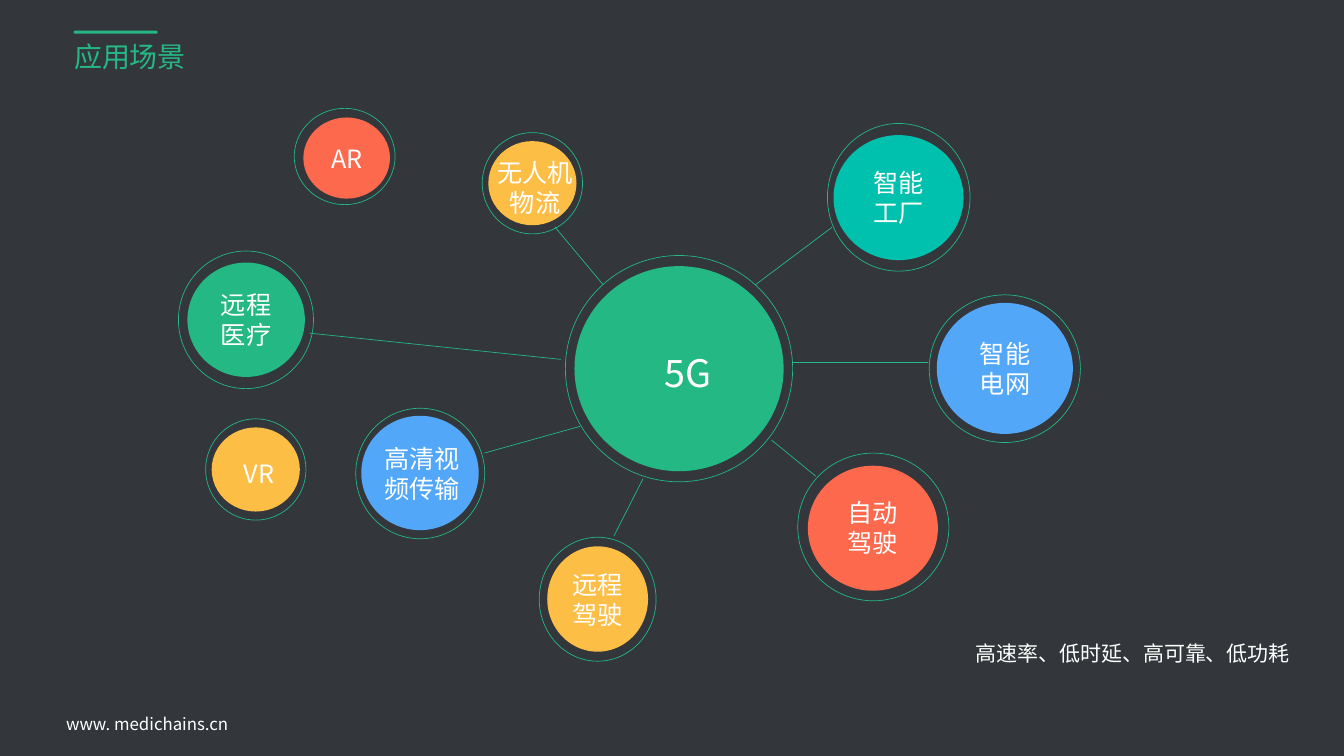
from dataclasses import dataclass

from lxml.etree import SubElement
from pptx import Presentation
from pptx.dml.color import RGBColor as Rgb
from pptx.enum.shapes import MSO_CONNECTOR as Link, MSO_SHAPE as Form
from pptx.enum.text import MSO_ANCHOR as Anchor, MSO_AUTO_SIZE as Fit, PP_ALIGN as Align
from pptx.oxml.ns import qn
from pptx.util import Pt

Box = tuple[float, float, float, float]
FACE = "Noto Sans CJK SC"
HUES = {
    "back": "33373B", "white": "FFFFFF", "green": "24B885", "gold": "FDBE46",
    "teal": "00C1AD", "blue": "52A7F9", "red": "FC694D",
}


@dataclass
class Label:
    """Text with its box and format."""
    words: str
    box: Box
    size: float = 36
    hue: str = "white"
    pad: tuple[float, float] = (1.44, 1.44)
    align: Align = Align.CENTER
    anchor: Anchor = Anchor.MIDDLE
    fit: Fit = Fit.SHAPE_TO_FIT_TEXT
    wrap: bool = True
    after: float = 0


@dataclass
class Node:
    """Filled disc inside a thin ring, with a label."""
    hue: str
    disc: Box
    ring: Box
    label: Label


NODES = [
    Node("green", (820.8, 380.2, 298.8, 293), (807.8, 365, 324.7, 323.3),
         Label("5G", (737.3, 496.1, 491.8, 72.7), 54, pad=(7.2, 3.6),
               anchor=Anchor.TOP, after=12)),
    Node("gold", (697.7, 201.6, 126, 120.2), (689, 189.4, 143.3, 144.7),
         Label("无人机物流", (707, 223.2, 115.2, 89.3))),
    Node("green", (267.8, 375.1, 167.8, 163.4), (254.9, 358.6, 193, 196.6),
         Label("远程\n医疗", (295.9, 411.8, 111.6, 89.3))),
    Node("blue", (516.2, 594, 167.8, 163.4), (508.3, 583.2, 184.3, 186.5),
         Label("高清视频传输", (542.9, 631.4, 120.2, 89.3))),
    Node("gold", (781.9, 780.5, 144, 150.5), (770.4, 767.5, 167, 177.1),
         Label("远程驾驶", (801.4, 811.4, 105.8, 89.3))),
    Node("red", (1154.2, 665.3, 185.8, 178.6), (1139.8, 647.3, 216, 211),
         Label("自动驾驶", (1206, 708.5, 82.1, 89.3))),
    Node("blue", (1338.5, 432.7, 194.4, 187.2), (1327.7, 421.2, 216, 211),
         Label("智能电网", (1383.1, 481.7, 105.8, 89.3))),
    Node("teal", (1190.9, 193, 185.8, 178.6), (1182.2, 176.4, 203.8, 211),
         Label("智能工厂", (1231.2, 237.6, 105.8, 89.3))),
    Node("gold", (302.4, 610.6, 126, 120.2), (293.8, 598.3, 143.3, 144.7),
         Label("VR", (312.5, 653.8, 115.2, 46.1))),
    Node("red", (433.4, 167.8, 123.8, 115.9), (420.5, 154.8, 144, 137.5),
         Label("AR", (448.6, 203, 93.6, 46.1))),
]
SPOKES: list[Box] = [
    (1132.6, 517.7, 1326.2, 517.7), (1102.3, 628.6, 1165.7, 680.4),
    (1079.3, 406.8, 1188.7, 324.7), (918.7, 684, 877, 766.1),
    (691.9, 647.3, 828.7, 609.1), (442.1, 475.9, 801.4, 513.4),
    (792.7, 324, 861.8, 406.8),
]
NOTES = [
    Label("www. medichains.cn", (47.5, 1015.2, 325.4, 37.4), 24, pad=(4.32, 4.32)),
    Label("应用场景", (101.5, 52.6, 1717.2, 67), 40, "green", (4.32, 4.32),
          Align.LEFT, Anchor.TOP, Fit.NONE),
    Label("高速率、低时延、高可靠、低功耗", (1385.3, 909.4, 465.8, 47.5), 30,
          pad=(5.76, 5.76), wrap=False),
]


def tint(name: str) -> Rgb:
    """Return a named colour."""
    return Rgb.from_string(HUES[name])


def style(item: object, form: dict) -> None:
    """Set each attribute in the format on the item."""
    for key, value in form.items():
        setattr(item, key, value)


def stroke(line: object) -> None:
    """Give a line the thin green look."""
    line.color.rgb = tint("green")
    line.width = Pt(1)


def draw_shape(slide: object, form: Form, box: Box, hue: str | None = None) -> object:
    """Draw a filled shape, or an outline when no hue is given."""
    shape = slide.shapes.add_shape(form, *map(Pt, box))
    shape.shadow.inherit = False
    if hue:
        shape.fill.solid()
        shape.fill.fore_color.rgb = tint(hue)
        shape.line.fill.background()
    else:
        shape.fill.background()
        stroke(shape.line)
    return shape


def draw_label(slide: object, label: Label) -> None:
    """Draw one text box."""
    frame = slide.shapes.add_textbox(*map(Pt, label.box)).text_frame
    side, edge = map(Pt, label.pad)
    style(frame, {
        "text": label.words, "word_wrap": label.wrap, "auto_size": label.fit,
        "vertical_anchor": label.anchor, "margin_left": side,
        "margin_right": side, "margin_top": edge, "margin_bottom": edge,
    })
    for para in frame.paragraphs:
        style(para, {"alignment": label.align, "space_after": Pt(label.after),
                     "line_spacing": Pt(label.size * 1.2)})
        for run in para.runs:
            style(run.font, {"size": Pt(label.size), "name": FACE})
            run.font.color.rgb = tint(label.hue)
            SubElement(run.font._element, qn("a:ea"), typeface=FACE)


def draw_spoke(slide: object, ends: Box) -> None:
    """Draw one straight line."""
    spoke = slide.shapes.add_connector(Link.STRAIGHT, *map(Pt, ends))
    stroke(spoke.line)
    SubElement(spoke._element.spPr, qn("a:effectLst"))


def draw_node(slide: object, node: Node) -> None:
    """Draw a disc, its ring and its label."""
    draw_shape(slide, Form.OVAL, node.disc, node.hue)
    draw_shape(slide, Form.OVAL, node.ring)
    draw_label(slide, node.label)


def main() -> None:
    """Build and save the slide."""
    deck = Presentation()
    style(deck, {"slide_width": Pt(1920.24), "slide_height": Pt(1080)})
    slide = deck.slides.add_slide(deck.slide_layouts[6])
    slide.background.fill.solid()
    slide.background.fill.fore_color.rgb = tint("back")
    bar = draw_shape(slide, Form.ROUNDED_RECTANGLE, (105.1, 43.9, 120.2, 4.3), "green")
    bar.adjustments[0] = 0.5
    for ends in SPOKES:
        draw_spoke(slide, ends)
    for node in NODES:
        draw_node(slide, node)
    for note in NOTES:
        draw_label(slide, note)
    deck.save("out.pptx")


if __name__ == "__main__":
    main()
